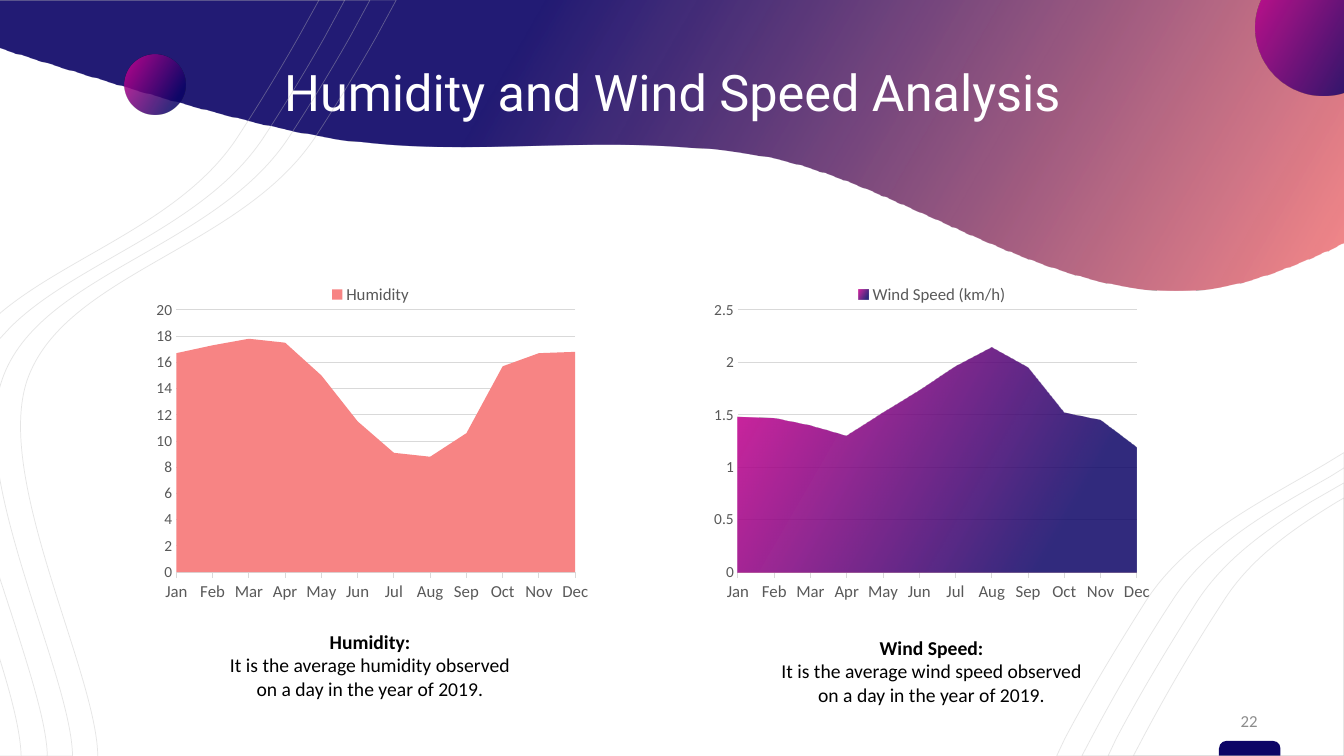
from lxml import etree
from pptx import Presentation
from pptx.chart.data import CategoryChartData
from pptx.dml.color import RGBColor
from pptx.enum.chart import XL_CHART_TYPE, XL_LEGEND_POSITION, XL_TICK_MARK
from pptx.enum.shapes import MSO_SHAPE
from pptx.enum.text import MSO_ANCHOR, MSO_AUTO_SIZE, PP_ALIGN
from pptx.oxml.ns import qn
from pptx.util import Inches, Pt

AREA = XL_CHART_TYPE.AREA
LEGEND_TOP = XL_LEGEND_POSITION.TOP
TICK_OUT, TICK_NONE = XL_TICK_MARK.OUTSIDE, XL_TICK_MARK.NONE
OVAL, TAB = MSO_SHAPE.OVAL, MSO_SHAPE.ROUND_2_SAME_RECTANGLE
MIDDLE, CENTER = MSO_ANCHOR.MIDDLE, PP_ALIGN.CENTER
GROW = MSO_AUTO_SIZE.SHAPE_TO_FIT_TEXT

COLORS = {
    "navy": "0C0466", "coral": "F78484", "magenta": "D30392", "white": "FFFFFF",
    "black": "000000", "number": "8C8C8C", "axis": "595959", "grid": "D9D9D9",
    "contour": "BFBFBF",
}

# Gradient stops: position, color, opacity (all percent)
WAVE_STOPS = [(36, "navy", 90), (100, "coral", 95)]
BERRY_STOPS = [(0, "magenta", 86), (81, "navy", 84)]
GRADIENT_ANGLE = 30

# Outlines in inches: M move, L line, C cubic curve, Z close
COMMANDS = {"M": ("a:moveTo", 1), "L": ("a:lnTo", 1), "C": ("a:cubicBezTo", 3), "Z": ("a:close", 0)}
WAVE = ("M 0 0 L 13.33 0 L 13.33 2.4 L 13.19 2.47 C 12.81 2.64 12.47 2.77 12.17 2.83 "
        "C 10.57 3.17 8.97 1.78 7.5 1.54 C 6.03 1.3 4.67 1.58 3.33 1.38 "
        "C 2.33 1.22 1.02 0.8 0.15 0.53 L 0 0.48 Z")
WAVE_BOTTOM = 2.88
RIGHT_CONTOURS = [
    "M 13.33 4.79 L 13.33 7.5 L 10.99 7.5 L 11.07 7.33 C 11.35 6.8 11.65 6.32 11.87 5.97 "
    "C 12.15 5.54 12.57 5.25 13 4.98 Z",
    "M 13.33 4.94 L 13.33 7.5 L 11.24 7.5 L 11.33 7.33 C 11.61 6.8 11.9 6.32 12.13 5.97 "
    "C 12.4 5.54 12.82 5.25 13.26 4.98 Z",
    "M 13.33 4.49 L 13.33 7.5 L 10.48 7.5 L 10.56 7.33 C 10.84 6.8 11.14 6.32 11.36 5.97 "
    "C 11.77 5.33 12.51 4.98 13.15 4.6 Z",
    "M 13.35 4.63 L 13.35 7.5 L 10.73 7.5 L 10.82 7.33 C 11.1 6.8 11.39 6.32 11.62 5.97 "
    "C 11.98 5.4 12.61 5.06 13.19 4.73 Z",
]
LEFT_CONTOURS = [
    "M -0.02 5.68 L 0.15 6.2 C 0.31 6.71 0.46 7.18 0.47 7.49 L 0.46 7.52 L -0.02 7.52 Z "
    "M -0.02 0 L 3.42 0 L 3.22 0.37 C 3.01 0.74 2.8 1.08 2.63 1.34 "
    "C 2.04 2.26 0.76 2.59 0.1 3.25 L -0.02 3.38 Z",
    "M -0.03 6.44 L -0.03 6.45 C 0.1 6.86 0.2 7.23 0.21 7.49 L 0.21 7.52 L -0.03 7.52 Z "
    "M -0.03 -0.01 L 3.17 -0.01 L 2.96 0.37 C 2.75 0.74 2.54 1.08 2.37 1.34 "
    "C 1.83 2.19 0.69 2.53 0.01 3.1 L -0.03 3.14 Z",
    "M -0.02 0 L 3.93 0 L 3.73 0.37 C 3.52 0.74 3.31 1.08 3.14 1.34 "
    "C 2.41 2.47 0.64 2.71 0.27 3.77 C -0.06 4.74 0.95 6.65 0.97 7.49 "
    "L 0.97 7.52 L -0.02 7.52 Z",
    "M -0.03 4.49 L -0.02 4.64 C 0.13 5.63 0.7 6.86 0.72 7.49 L 0.72 7.5 L -0.03 7.5 Z "
    "M -0.03 0 L 3.67 0 L 3.47 0.37 C 3.26 0.74 3.05 1.08 2.88 1.34 "
    "C 2.16 2.47 0.38 2.71 0.02 3.77 C 0 3.83 -0.02 3.9 -0.03 3.96 L -0.03 3.99 Z",
]

# Chart data; each chart shows one of its two series
MONTHS = "Jan Feb Mar Apr May Jun Jul Aug Sep Oct Nov Dec".split()
HUMIDITY = [16.7, 17.3, 17.8, 17.5, 15, 11.5, 9.1, 8.8, 10.6, 15.7, 16.7, 16.8]
WIND_SPEED = [1.48, 1.47, 1.4, 1.3, 1.52, 1.73, 1.96, 2.14, 1.95, 1.52, 1.45, 1.19]
EMPTY = [None] * len(MONTHS)
SERIES_FILLS = ["coral", BERRY_STOPS]
PLOT_LAYOUT = {"x": 0.098, "y": 0.108, "w": 0.826, "h": 0.77}


def rgb(name):
    return RGBColor.from_string(COLORS[name])


def set_values(target, values):
    for name, value in values.items():
        setattr(target, name, value)


def set_font(font, size, color, name="Calibri", bold=False):
    set_values(font, {"size": Pt(size), "name": name, "bold": bold})
    font.color.rgb = rgb(color)


def add_xml(parent, tag, **attributes):
    return etree.SubElement(parent, qn(tag), attributes)


def set_fill(target, element, fill):
    """Fill with a color name or a list of gradient stops."""
    if isinstance(fill, str):
        target.solid()
        target.fore_color.rgb = rgb(fill)
        return
    target.gradient()
    gradient = next(element.iter(qn("a:gradFill")))
    gradient.clear()
    stops = add_xml(gradient, "a:gsLst")
    for position, color, opacity in fill:
        stop = add_xml(stops, "a:gs", pos=str(position * 1000))
        tint = add_xml(stop, "a:srgbClr", val=COLORS[color])
        add_xml(tint, "a:alpha", val=str(opacity * 1000))
    add_xml(gradient, "a:lin", ang=str(GRADIENT_ANGLE * 60000), scaled="0")


def add_filled(slide, kind, box, fill):
    shape = slide.shapes.add_shape(kind, *map(Inches, box))
    shape.shadow.inherit = False
    set_fill(shape.fill, shape._element, fill)
    shape.line.fill.background()
    return shape


def read_outline(outline):
    tokens = iter(outline.split())
    return [(command, [(Inches(float(next(tokens))), Inches(float(next(tokens))))
                       for _ in range(COMMANDS[command][1])]) for command in tokens]


def add_outline(shapes, outline, bottom=None):
    """Build the frame of an outline, then draw its lines and curves in it."""
    steps = read_outline(outline)
    columns, rows = zip(*(points[-1] for _, points in steps if points))
    left, top, right = min(columns), min(rows), max(columns)
    bottom = Inches(bottom) if bottom else max(rows)
    builder = shapes.build_freeform(left, top)
    builder.add_line_segments([(right, top), (right, bottom), (left, bottom)])
    shape = builder.convert_to_shape()
    shape.shadow.inherit = False
    drawing = next(shape._element.iter(qn("a:path")))
    for segment in list(drawing):
        drawing.remove(segment)
    for command, points in steps:
        segment = add_xml(drawing, COMMANDS[command][0])
        for x, y in points:
            add_xml(segment, "a:pt", x=str(x - left), y=str(y - top))
    return shape


def add_contours(slide, outlines):
    group = slide.shapes.add_group_shape()
    for outline in outlines:
        shape = add_outline(group.shapes, outline)
        shape.fill.background()
        shape.line.width = Pt(0.5)
        shape.line.color.rgb = rgb("contour")
        add_xml(next(shape.line._ln.iter(qn("a:srgbClr"))), "a:alpha", val="40000")


def add_text(slide, box, lines, size, color, font="Calibri", bold_first=False,
             frame_format=None, spacing=None):
    frame = slide.shapes.add_textbox(*map(Inches, box)).text_frame
    set_values(frame, {"word_wrap": True, "vertical_anchor": MIDDLE, **(frame_format or {})})
    for index, line in enumerate(lines):
        paragraph = frame.paragraphs[0] if index == 0 else frame.add_paragraph()
        set_values(paragraph, {"text": line, "alignment": CENTER, "line_spacing": spacing})
        set_font(paragraph.runs[0].font, size, color, font, bold_first and index == 0)


def add_caption(slide, left, top, lines):
    margins = {f"margin_{side}": 0 for side in ("left", "right", "top", "bottom")}
    add_text(slide, (left, top, 4.42, 0.71), lines, 14, "black", bold_first=True,
             frame_format={**margins, "auto_size": GROW})


def add_area_chart(slide, left, series_values, unlisted, maximum, unit):
    data = CategoryChartData()
    data.categories = MONTHS
    for name, values in series_values.items():
        data.add_series(name, values)
    box = map(Inches, (left, 2.71, 4.79, 3.38))
    chart = slide.shapes.add_chart(AREA, *box, data).chart
    set_values(chart, {"has_title": False, "has_legend": True})
    set_font(chart.font, 10, "black")
    for series, fill in zip(chart.plots[0].series, SERIES_FILLS):
        set_fill(series.format.fill, series._element, fill)

    # Legend without the empty series
    legend = chart.legend
    set_values(legend, {"position": LEGEND_TOP, "include_in_layout": False})
    set_font(legend.font, 12, "axis")
    entry = add_xml(legend._element, "c:legendEntry")
    add_xml(entry, "c:idx", val=str(unlisted))
    add_xml(entry, "c:delete", val="1")
    legend._element.find(qn("c:legendPos")).addnext(entry)

    # Axes
    months, scale = chart.category_axis, chart.value_axis
    set_values(months, {"major_tick_mark": TICK_OUT, "minor_tick_mark": TICK_NONE,
                        "has_major_gridlines": False})
    set_values(scale, {"major_tick_mark": TICK_NONE, "minor_tick_mark": TICK_NONE,
                       "has_major_gridlines": True, "minimum_scale": 0,
                       "maximum_scale": maximum, "major_unit": unit})
    set_font(months.tick_labels.font, 12, "axis")
    set_font(scale.tick_labels.font, 11, "axis")
    for line in (months.format.line, scale.major_gridlines.format.line):
        line.width = Pt(0.75)
        line.color.rgb = rgb("grid")
    scale.format.line.fill.background()
    scale._element.find(qn("c:crossBetween")).set("val", "midCat")

    # Inner plot area
    plot_area = next(chart._chartSpace.iter(qn("c:plotArea")))
    for layout in plot_area.findall(qn("c:layout")):
        plot_area.remove(layout)
    layout = add_xml(plot_area, "c:layout")
    plot_area.insert(0, layout)
    manual = add_xml(layout, "c:manualLayout")
    add_xml(manual, "c:layoutTarget", val="inner")
    for side in "xy":
        add_xml(manual, f"c:{side}Mode", val="edge")
    for side, value in PLOT_LAYOUT.items():
        add_xml(manual, f"c:{side}", val=str(value))


def main():
    presentation = Presentation()
    presentation.slide_width, presentation.slide_height = Inches(13.33), Inches(7.5)
    slide = presentation.slides.add_slide(presentation.slide_layouts[6])

    # Page tab, right contours and header wave
    tab = add_filled(slide, TAB, (12.09, 7.35, 0.61, 0.15), "navy")
    tab.adjustments[0] = 0.5
    add_contours(slide, RIGHT_CONTOURS)
    wave = add_outline(slide.shapes, WAVE, WAVE_BOTTOM)
    set_fill(wave.fill, wave._element, WAVE_STOPS)
    wave.line.fill.background()

    # Title, page number and circles
    add_text(slide, (0.71, 0.48, 11.92, 0.93), ["Humidity and Wind Speed Analysis"],
             36, "white", "Roboto", spacing=0.9)
    add_text(slide, (12.16, 6.95, 0.46, 0.4), ["22"], 12, "number")
    for left, top, size in ((12.45, -0.4, 1.35), (1.24, 0.54, 0.6)):
        add_filled(slide, OVAL, (left, top, size, size), BERRY_STOPS)

    # Captions and left contours
    add_caption(slide, 7.03, 6.3, ["Wind Speed:", "It is the average wind speed observed",
                                   "on a day in the year of 2019."])
    add_contours(slide, LEFT_CONTOURS)
    add_caption(slide, 1.46, 6.24, ["Humidity:", "It is the average humidity observed",
                                    "on a day in the year of 2019."])

    # Charts
    add_area_chart(slide, 1.28, {"Humidity": HUMIDITY, "Series 2": EMPTY}, 1, 20, 2)
    add_area_chart(slide, 6.85, {"Series 1": EMPTY, "Wind Speed (km/h)": WIND_SPEED}, 0, 2.5, 0.5)
    presentation.save("out.pptx")


if __name__ == "__main__":
    main()
